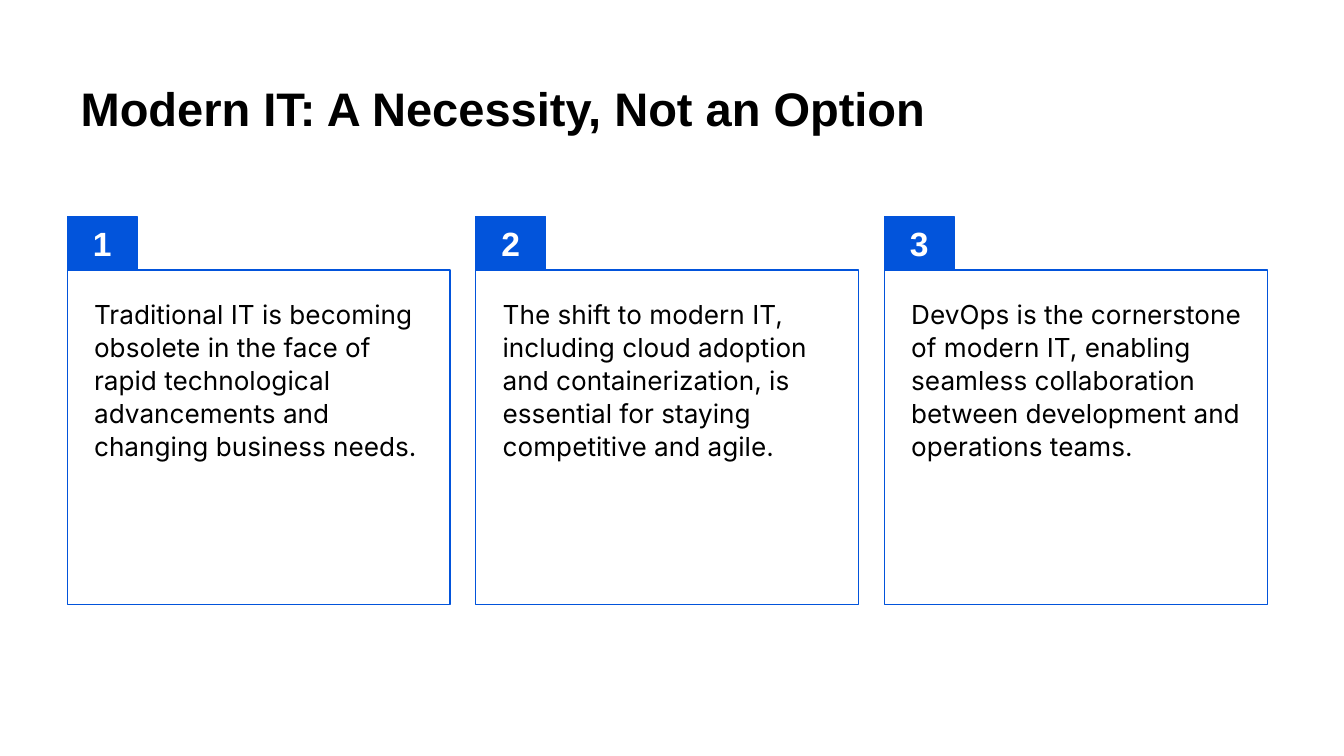
from lxml import etree
from pptx import Presentation
from pptx.dml.color import RGBColor
from pptx.enum import shapes, text
from pptx.oxml.ns import qn
from pptx.util import Inches, Pt

TITLE = "Modern IT: A Necessity, Not an Option"
CARDS = [
    "Traditional IT is becoming obsolete in the face of rapid technological "
    "advancements and changing business needs.",
    "The shift to modern IT, including cloud adoption and containerization, "
    "is essential for staying competitive and agile.",
    "DevOps is the cornerstone of modern IT, enabling seamless collaboration "
    "between development and operations teams.",
]
THEME = {
    "blue": RGBColor(0x02, 0x54, 0xDB),
    "white": RGBColor(255, 255, 255),
    "black": RGBColor(0, 0, 0),
    "head": "Arial", "body": "Inter",
    "title": 25.2, "number": 18, "card": 14, "line": 0.75,
}
WIDTH = 10
HEIGHT = WIDTH * 9 / 16
LEFT, TOP, STEP = 0.5, 2.01, 3.04
CARD_W, CARD_H = 2.85, 2.49
TAG_W, TAG_H = 0.52, 0.4


def place(shape, *box):
    shape.left, shape.top, shape.width, shape.height = map(Inches, box)


def write(shape, words, face, size, color, bold, align, anchor, pads):
    """Fill a shape with one styled paragraph; pads run left, top, right, bottom."""
    frame = shape.text_frame
    frame.text = words
    frame.word_wrap = True
    frame.auto_size = text.MSO_AUTO_SIZE.NONE
    frame.vertical_anchor = anchor
    (frame.margin_left, frame.margin_top,
     frame.margin_right, frame.margin_bottom) = map(Inches, pads)
    para = frame.paragraphs[0]
    para.alignment = align
    font = para.runs[0].font
    font.name, font.size, font.bold = THEME[face], Pt(THEME[size]), bold
    font.color.rgb = THEME[color]
    return para


def paint(shape, color):
    shape.fill.solid()
    shape.fill.fore_color.rgb = THEME[color]
    shape.line.color.rgb = THEME["blue"]
    shape.line.width = Pt(THEME["line"])


def add_card(holder, x, words):
    place(holder, x, TOP, CARD_W, CARD_H)
    paint(holder, "white")
    tone = holder._element.spPr.find(qn("a:solidFill"))[0]
    etree.SubElement(tone, qn("a:alpha"), val="10000")
    para = write(holder, words, "body", "card", "black", False,
                 text.PP_ALIGN.LEFT, text.MSO_ANCHOR.TOP, (0.2, 0.2, 0.15, 0.1))
    para.line_spacing = 1.05
    para.space_before, para.space_after = Pt(0), Pt(10)
    props = para._p.get_or_add_pPr()
    props.set("marL", "0")
    props.set("indent", "0")
    etree.SubElement(props, qn("a:buNone"))


def add_tag(slide, x, number):
    tag = slide.shapes.add_shape(shapes.MSO_SHAPE.RECTANGLE, 0, 0, 0, 0)
    place(tag, x, TOP - TAG_H, TAG_W, TAG_H)
    tag.shadow.inherit = False
    paint(tag, "blue")
    write(tag, str(number), "head", "number", "white", True,
          text.PP_ALIGN.CENTER, text.MSO_ANCHOR.MIDDLE, (0, 0.1, 0, 0.1))


def main():
    deck = Presentation()
    deck.slide_width, deck.slide_height = Inches(WIDTH), Inches(HEIGHT)
    # The comparison layout offers a title and four bodies
    slide = deck.slides.add_slide(deck.slide_layouts[4])
    title = slide.shapes.title
    place(title, LEFT, 0.49, 9, 0.63)
    write(title, TITLE, "head", "title", "black", True,
          text.PP_ALIGN.LEFT, text.MSO_ANCHOR.MIDDLE, (0.1,) * 4)

    holders = [h for h in slide.placeholders
               if 1 <= h.placeholder_format.idx <= 4]
    for i, (holder, words) in enumerate(zip(holders, CARDS)):
        x = LEFT + i * STEP
        add_card(holder, x, words)
        add_tag(slide, x, i + 1)
    for spare in holders[len(CARDS):]:
        spare._element.getparent().remove(spare._element)
    deck.save("out.pptx")


if __name__ == "__main__":
    main()
